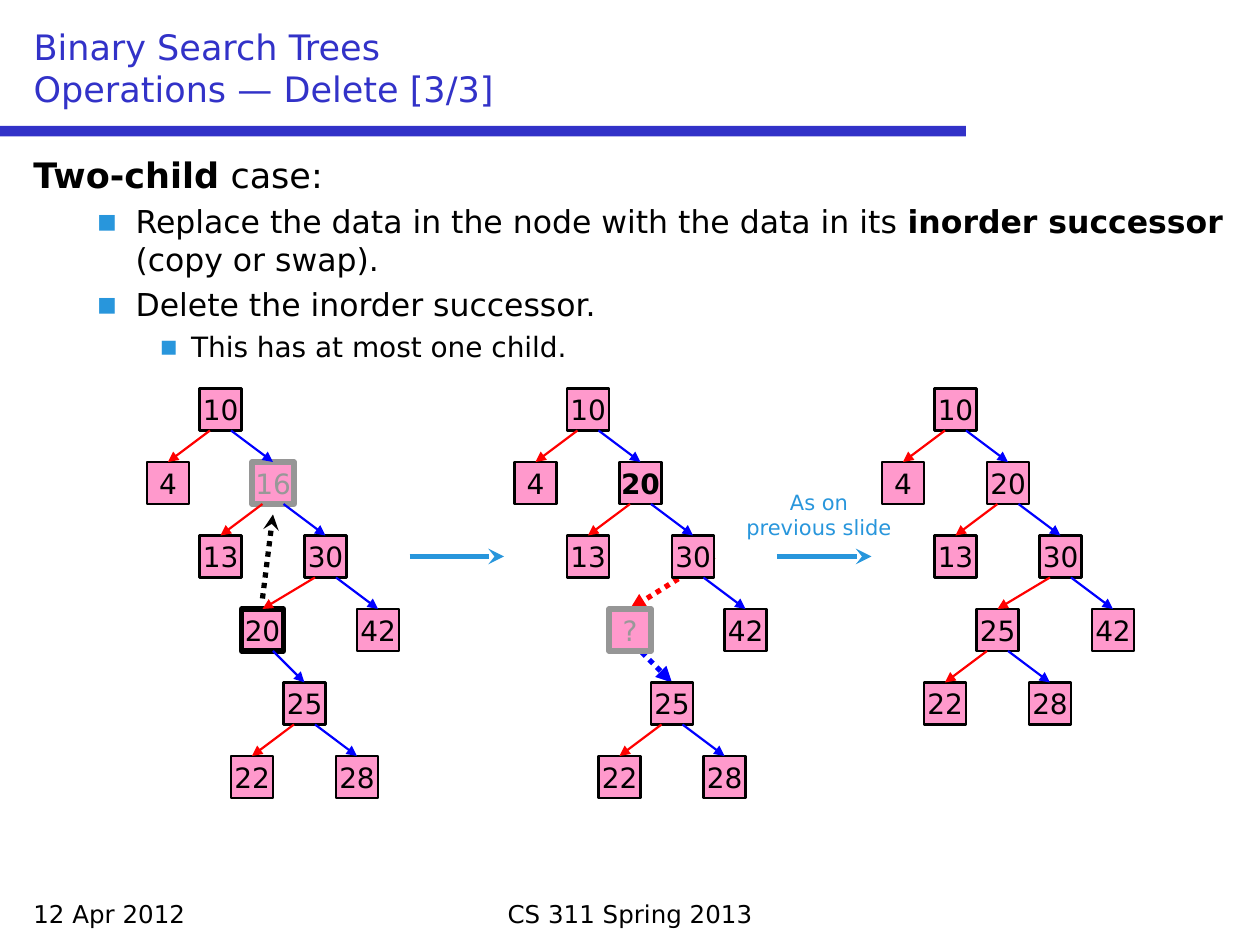
"""Build a slide on the two-child case of deletion in a binary search tree."""
from copy import deepcopy

from lxml.etree import SubElement
from pptx import Presentation
from pptx.dml.color import RGBColor
from pptx.enum.dml import MSO_LINE
from pptx.enum.shapes import MSO_CONNECTOR, MSO_SHAPE
from pptx.enum.text import MSO_ANCHOR, MSO_AUTO_SIZE, PP_ALIGN
from pptx.oxml.ns import qn
from pptx.util import Cm, Pt

COLORS = {
    "title": "3232C8", "accent": "2896DC", "text": "000000", "node": "FF99CC",
    "left": "FF0000", "right": "0000FF", "faded_line": "969696", "faded_text": "989898",
}
FONT = "DejaVu Sans"
NODE = 4
TREE_TOP, ROW_STEP, TREE_STEP = 37, 7, 35

TOP_NODES = {"10": (19, 0), "4": (14, 1), "13": (19, 2), "30": (29, 2), "42": (34, 3)}
LOW_NODES = {"25": (27, 4), "28": (32, 5), "22": (22, 5)}
FADED = {"color": "faded_text", "line": "faded_line", "width": 3}
LOW_EDGES = [("25", "22", "left"), ("25", "28", "right")]


def top_edges(middle, low):
    """Return the edges that the upper part of every tree shares."""
    return [("10", "4", "left"), ("10", middle, "right"), (middle, "13", "left"),
            (middle, "30", "right"), ("30", low, "left"), ("30", "42", "right")]


TREES = [
    {"nodes": {**TOP_NODES, **LOW_NODES, "16": (24, 1), "20": (23, 3)},
     "edges": top_edges("16", "20") + [("20", "25", "right")] + LOW_EDGES,
     "styles": {"16": FADED, "20": {"width": 3}}, "dotted": {}},
    {"nodes": {**TOP_NODES, **LOW_NODES, "20": (24, 1), "?": (23, 3)},
     "edges": top_edges("20", "?") + [("?", "25", "right")] + LOW_EDGES,
     "styles": {"20": {"bold": True}, "?": FADED},
     "dotted": {("30", "?"): (4, 2), ("?", "25"): (1, 2)}},
    {"nodes": {**TOP_NODES, "20": (24, 1), "25": (23, 3), "28": (28, 4), "22": (18, 4)},
     "edges": top_edges("20", "25") + LOW_EDGES, "styles": {}, "dotted": {}},
]


def grid(n):
    """Convert grid steps of a twelfth of an inch to a length."""
    return Cm(n * 2.54 / 12)


def rgb(name):
    """Look up a named colour."""
    return RGBColor.from_string(COLORS[name])


def write(p, text, size=16, color="text", bold=False, align=PP_ALIGN.LEFT):
    """Add formatted text to a paragraph, with a line break at each newline."""
    p.alignment = align
    for i, part in enumerate(text.split("\n")):
        if i:
            p.add_line_break()
        r = p.add_run()
        r.text = part
        r.font.name, r.font.size, r.font.bold = FONT, Pt(size), bold
        r.font.color.rgb = rgb(color)
    for br in p._p.findall(qn("a:br")):
        br.append(deepcopy(r._r.get_or_add_rPr()))


class Deck:
    """Hold the style and the current slide."""

    def __init__(self):
        """Start a presentation with one title-only slide."""
        self.prs = Presentation()
        self.prs.slide_width, self.prs.slide_height = Cm(25.4), Cm(19.05)
        self.s = self.prs.slides.add_slide(self.prs.slide_layouts[5])

    def title(self, text):
        """Place and format the title."""
        sp = self.s.shapes.title
        sp.left, sp.top, sp.width, sp.height = grid(2), grid(2), grid(116), grid(9)
        tf = sp.text_frame
        tf.auto_size, tf.vertical_anchor = MSO_AUTO_SIZE.NONE, MSO_ANCHOR.BOTTOM
        write(tf.paragraphs[0], text, size=20, color="title")

    def text(self, x, y, w, h, text="", **fmt):
        """Add a wrapping text box and return its frame."""
        tf = self.s.shapes.add_textbox(grid(x), grid(y), grid(w), grid(h)).text_frame
        tf.word_wrap = True
        if text:
            write(tf.paragraphs[0], text, **fmt)
        return tf

    def bullet(self, tf, runs, size, margin, hang, level):
        """Add a bulleted paragraph made of (text, bold) runs."""
        p = tf.add_paragraph()
        p.level = level
        pPr = p._p.get_or_add_pPr()
        pPr.set("marL", str(Cm(margin)))
        pPr.set("indent", str(-Cm(hang)))
        clr = SubElement(pPr, qn("a:buClr"))
        SubElement(clr, qn("a:srgbClr"), val=COLORS["accent"])
        SubElement(pPr, qn("a:buFont"), typeface=FONT)
        SubElement(pPr, qn("a:buChar"), char="▪")
        p.space_before = Pt(4)
        for text, bold in runs:
            write(p, text, size=size, bold=bold)

    def rect(self, x, y, w, h, fill):
        """Add a plain rectangle."""
        sp = self.s.shapes.add_shape(MSO_SHAPE.RECTANGLE, grid(x), grid(y), grid(w), grid(h))
        sp.shadow.inherit = False
        sp.fill.solid()
        sp.fill.fore_color.rgb = rgb(fill)
        sp.line.fill.background()
        return sp

    def node(self, x, y, text, line="text", width=1.25, **fmt):
        """Add a tree node."""
        sp = self.rect(x, y, NODE, NODE, "node")
        sp.line.color.rgb, sp.line.width = rgb(line), Pt(width)
        tf = sp.text_frame
        tf.word_wrap, tf.vertical_anchor = False, MSO_ANCHOR.MIDDLE
        tf.margin_left = tf.margin_right = tf.margin_top = tf.margin_bottom = 0
        write(tf.paragraphs[0], text, align=PP_ALIGN.CENTER, **fmt)
        return sp

    def arrow(self, start, end, color, width=1.25, head="triangle", dotted=False):
        """Add a straight arrow."""
        cn = self.s.shapes.add_connector(MSO_CONNECTOR.STRAIGHT, *map(grid, start + end))
        cn.line.color.rgb, cn.line.width = rgb(color), Pt(width)
        if dotted:
            cn.line.dash_style = MSO_LINE.ROUND_DOT
        SubElement(cn.line._get_or_add_ln(), qn("a:tailEnd"), type=head)
        SubElement(cn._element.spPr, qn("a:effectLst"))
        return cn

    def tree(self, offset, nodes, edges, styles, dotted):
        """Add a tree; dotted edges run behind the nodes from an inner point."""
        spots = {k: (x + offset, TREE_TOP + ROW_STEP * row) for k, (x, row) in nodes.items()}
        shapes = {k: self.node(*spot, k, **styles.get(k, {})) for k, spot in spots.items()}
        for parent, child, side in edges:
            inner = dotted.get((parent, child))
            dx, dy = inner or (1 if side == "left" else 3, NODE)
            (x, y), (cx, cy) = spots[parent], spots[child]
            cn = self.arrow((x + dx, y + dy), (cx + NODE / 2, cy), side,
                            width=3 if inner else 1.25, dotted=bool(inner))
            cn.end_connect(shapes[child], 0)
            if inner:
                self.s.shapes._spTree.insert(2, cn._element)


def main():
    """Build and save the slide."""
    deck = Deck()
    deck.rect(0, 12, 92, 1, "title")
    deck.title("Binary Search Trees\nOperations — Delete [3/3]")
    deck.text(2, 85, 28, 4, "12 Apr 2012", size=14)
    deck.text(31, 85, 58, 4, "CS 311 Spring 2013", size=14, align=PP_ALIGN.CENTER)

    tf = deck.text(2, 14, 116, 70, "Two-child", size=20, bold=True)
    write(tf.paragraphs[0], " case:", size=20)
    deck.bullet(tf, [("Replace the data in the node with the data in its ", False),
                     ("inorder successor", True), (" (copy or swap).", False)],
                18, 2.06, 0.79, 1)
    deck.bullet(tf, [("Delete the inorder successor.", False)], 18, 2.06, 0.79, 1)
    deck.bullet(tf, [("This has at most one child.", False)], 16, 3.18, 0.64, 2)

    for i, tree in enumerate(TREES):
        deck.tree(i * TREE_STEP, **tree)
    for x in (39, 39 + TREE_STEP):
        deck.arrow((x, 53), (x + 9, 53), "accent", width=3, head="stealth")
    deck.arrow((25, 57), (26, 49), "text", width=3, head="stealth", dotted=True)
    deck.text(68, 46, 20, 6, "As on\nprevious slide", size=12, color="accent",
              align=PP_ALIGN.CENTER)
    deck.prs.save("out.pptx")


if __name__ == "__main__":
    main()
